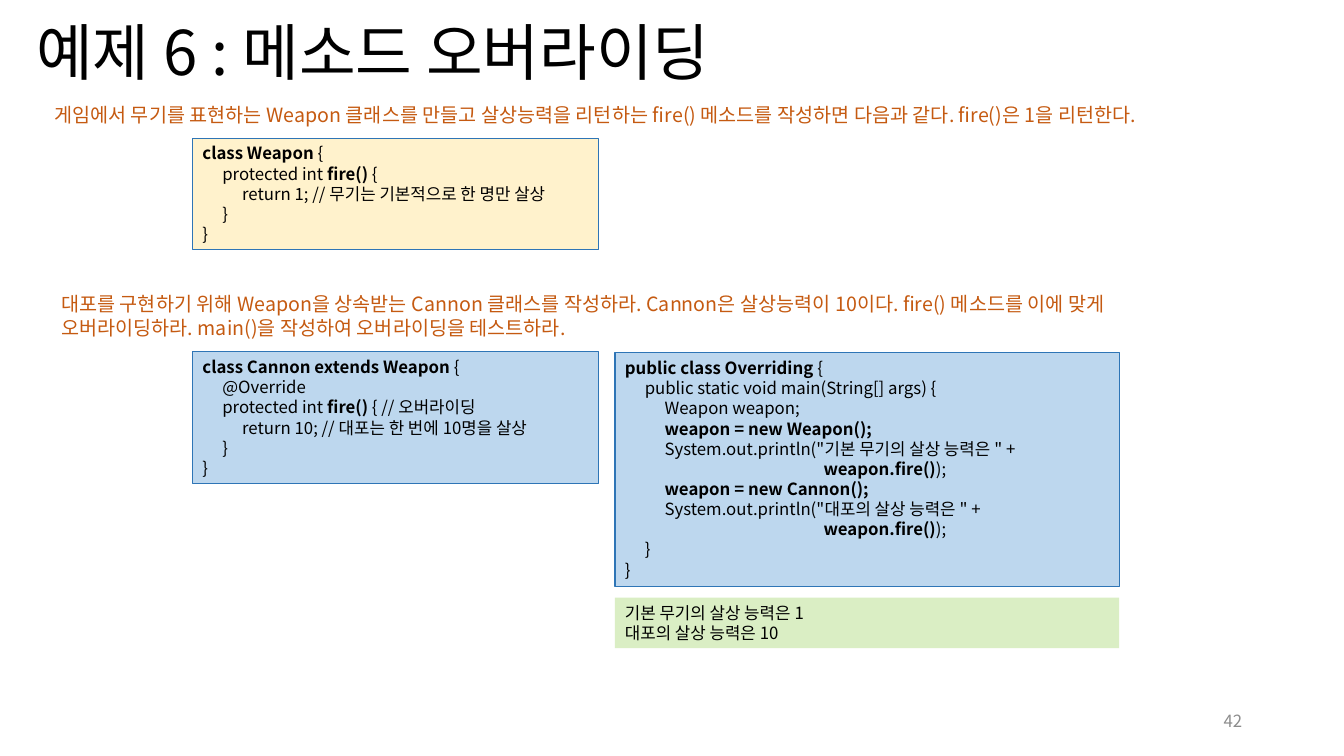
"""Build the slide on method overriding with Weapon and Cannon classes."""
from pptx import Presentation
from pptx import util as u
from pptx.dml.color import RGBColor
from pptx.enum import shapes, text
from pptx.oxml.ns import qn
from lxml import etree

THEME = {
    "font": "Noto Sans CJK KR",
    "black": "000000", "orange": "C55A11", "gray": "8C8C8C",
    "cream": "FFF2CC", "blue": "BDD7EE", "green": "DAEEC4", "border": "2E75B6",
    "title": 44, "body": 14, "code": 12,
}
TAB_WIDTH = 0.197
TAB_COUNT = 10


def write_line(paragraph, line, size, color):
    """Write one line, with **marked** pieces in bold."""
    for index, piece in enumerate(line.split("**")):
        if piece:
            run = paragraph.add_run()
            run.text = piece
            formats = {"name": THEME["font"], "size": u.Pt(size), "bold": index % 2 == 1}
            for name, value in formats.items():
                setattr(run.font, name, value)
            run.font.color.rgb = RGBColor.from_string(THEME[color])
            east_asian = etree.SubElement(run.font._element, qn("a:ea"))
            east_asian.set("typeface", THEME["font"])


def fill_frame(shape, lines, size, color, spacing, anchor="TOP", align="LEFT"):
    """Fill a shape with lines of text on a common tab grid."""
    frame = shape.text_frame
    frame.word_wrap = True
    frame.vertical_anchor = getattr(text.MSO_ANCHOR, anchor)
    for index, line in enumerate(lines):
        paragraph = frame.add_paragraph() if index else frame.paragraphs[0]
        paragraph.alignment = getattr(text.PP_ALIGN, align)
        paragraph.line_spacing = spacing
        if "\t" in line:
            tabs = etree.SubElement(paragraph._p.get_or_add_pPr(), qn("a:tabLst"))
            for stop in range(1, TAB_COUNT + 1):
                position = str(u.Inches(TAB_WIDTH * stop))
                etree.SubElement(tabs, qn("a:tab"), pos=position, algn="l")
        write_line(paragraph, line, size, color)


presentation = Presentation()
presentation.slide_width = u.Inches(13.33)
presentation.slide_height = u.Inches(7.5)
slide = presentation.slides.add_slide(presentation.slide_layouts[6])

labels = [
    ((0.26, 0.02, 11.5, 1.06), "예제 6 : 메소드 오버라이딩", "title", "black", 0.9, "MIDDLE", "LEFT"),
    ((0.44, 0.97, 12.25, 0.34),
     "게임에서 무기를 표현하는 Weapon 클래스를 만들고 살상능력을 리턴하는 fire() 메소드를 작성하면 "
     "다음과 같다. fire()은 1을 리턴한다.", "body", "orange", u.Pt(17.1), "TOP", "LEFT"),
    ((0.51, 2.84, 11.81, 0.57),
     "대포를 구현하기 위해 Weapon을 상속받는 Cannon 클래스를 작성하라. Cannon은 살상능력이 10이다. "
     "fire() 메소드를 이에 맞게 오버라이딩하라. main()을 작성하여 오버라이딩을 테스트하라.",
     "body", "orange", u.Pt(17.1), "TOP", "LEFT"),
    ((9.42, 6.95, 3, 0.4), "42", "code", "gray", 1.0, "MIDDLE", "RIGHT"),
]
for box, label, size, color, spacing, anchor, align in labels:
    shape = slide.shapes.add_textbox(*map(u.Inches, box))
    fill_frame(shape, [label], THEME[size], color, spacing, anchor, align)

weapon_code = [
    "**class Weapon **{",
    "\tprotected int **fire() **{",
    "\t\treturn 1; // 무기는 기본적으로 한 명만 살상",
    "\t}",
    "}",
]
cannon_code = [
    "**class Cannon extends Weapon **{",
    "\t@Override",
    "\tprotected int **fire() **{ // 오버라이딩",
    "\t\treturn 10; // 대포는 한 번에 10명을 살상",
    "\t}",
    "}",
]
fire_call = "\t" * TAB_COUNT + "**weapon.fire()**);"
main_code = [
    "**public class Overriding **{",
    "\tpublic static void main(String[] args) {",
    "\t\tWeapon weapon;",
    "\t\t**weapon = new Weapon();**",
    "\t\tSystem.out.println(\"기본 무기의 살상 능력은 \" +",
    fire_call,
    "\t\t**weapon = new Cannon();**",
    "\t\tSystem.out.println(\"대포의 살상 능력은 \" +",
    fire_call,
    "\t}",
    "}",
]
output = ["기본 무기의 살상 능력은 1", "대포의 살상 능력은 10"]

panels = [
    ((1.91, 1.37, 4.03, 1.11), weapon_code, "cream", True),
    ((1.91, 3.49, 4.03, 1.31), cannon_code, "blue", True),
    ((6.1, 3.5, 5, 2.32), main_code, "blue", True),
    ((6.1, 5.93, 5, 0.5), output, "green", False),
]
for box, lines, fill, bordered in panels:
    shape = slide.shapes.add_shape(shapes.MSO_SHAPE.RECTANGLE, *map(u.Inches, box))
    shape.shadow.inherit = False
    shape.fill.solid()
    shape.fill.fore_color.rgb = RGBColor.from_string(THEME[fill])
    if bordered:
        shape.line.color.rgb = RGBColor.from_string(THEME["border"])
        shape.line.width = u.Pt(0.75)
    else:
        shape.line.fill.background()
    fill_frame(shape, lines, THEME["code"], "black", u.Pt(14.4))

presentation.save("out.pptx")
